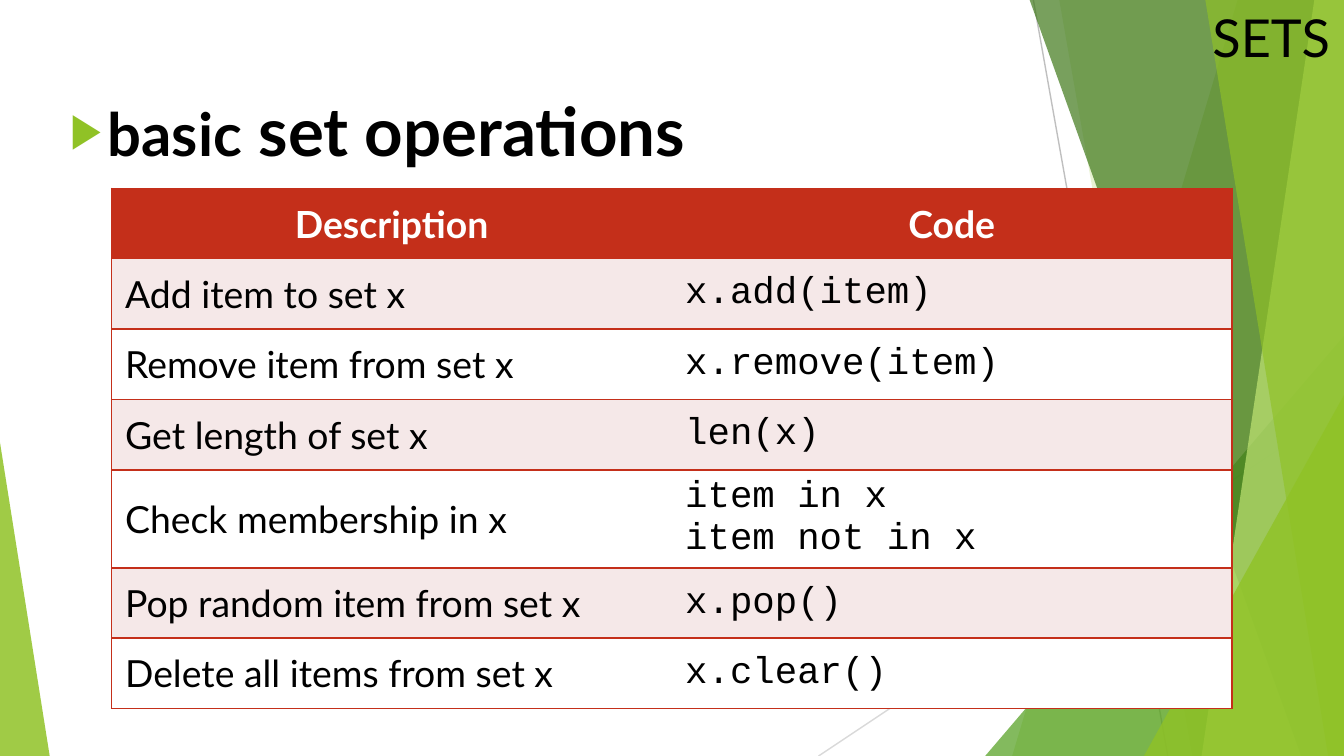
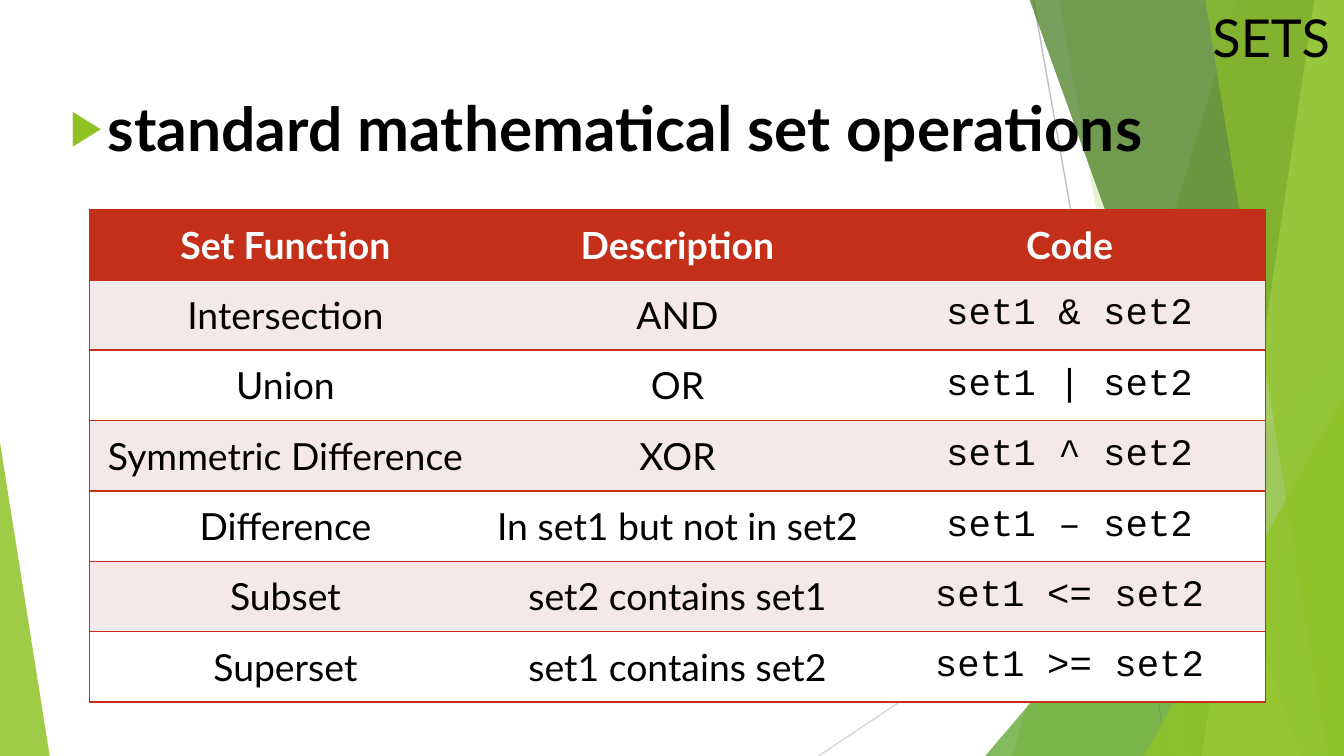
from pptx import Presentation
from pptx import util as u
from pptx.dml.color import RGBColor
from pptx.enum import shapes as sh, text as tx
from pptx.oxml.ns import qn
from lxml import etree

WIDE, HIGH = 25.4, 14.29

THEME = {
    "title": dict(name="Lato", size=28, color="000000", bold=False),
    "head": dict(name="Lato", size=20, color="FFFFFF", bold=True),
    "cell": dict(name="Lato", size=20, color="000000", bold=False),
    "code": dict(name="Courier New", size=20, color="000000", bold=False),
    "lead": dict(name="Lato", size=32, color="000000", bold=True),
    "red": "C42F1A", "rose": "F5E8E8", "white": "FFFFFF",
    "green": "90C226", "leaf": "54A021", "dark": "3F7819", "lime": "C0E474",
    "gray": "BFBFBF", "pale": "D9D9D9",
}

RAYS = [
    ("gray", 19.53, 0, 22.07, HIGH),
    ("pale", WIDE, 7.67, 15.47, HIGH),
]
DECOR = [
    ("band", "green", 30, (23.39, 19.13)),
    ("band", "green", 20, (20.02, 22.53)),
    ("peak", "leaf", 72, (18.62, 6.35, 6.78, 1)),
    ("band", "dark", 70, (19.46, 24.59)),
    ("band", "lime", 70, (24.84, 22.71)),
    ("band", "green", 65, (22.78, 25.1)),
    ("peak", "green", 80, (21.62, 7.47, 3.78, 1)),
    ("peak", "green", 85, (0, 8.36, 0.94, 0)),
]

TITLE = "SETS"
SLIDES = [
    {
        "lead": [("basic", 32), (" set operations", 36)],
        "left": 2.11, "top": 3.56, "wide": 21.17, "mid": False,
        "rows": [
            ("Description", "Code"),
            ("Add item to set x", "x.add(item)"),
            ("Remove item from set x", "x.remove(item)"),
            ("Get length of set x", "len(x)"),
            ("Check membership in x", "item in x\nitem not in x"),
            ("Pop random item from set x", "x.pop()"),
            ("Delete all items from set x", "x.clear()"),
        ],
    },
    {
        "lead": [("standard", 32.4), (" mathematical set operations", 33.3)],
        "left": 1.69, "top": 3.96, "wide": 22.23, "mid": True,
        "rows": [
            ("Set Function", "Description", "Code"),
            ("Intersection", "AND", "set1 & set2"),
            ("Union", "OR", "set1 | set2"),
            ("Symmetric Difference", "XOR", "set1 ^ set2"),
            ("Difference", "In set1 but not in set2", "set1 – set2"),
            ("Subset", "set2 contains set1", "set1 <= set2"),
            ("Superset", "set1 contains set2", "set1 >= set2"),
        ],
    },
]


def tint(key):
    return RGBColor.from_string(THEME[key])


def style(font, look):
    for key, val in look.items():
        if key == "color":
            font.color.rgb = RGBColor.from_string(val)
        else:
            setattr(font, key, u.Pt(val) if key == "size" else val)


def place(shape, *box):
    for key, val in zip(("left", "top", "width", "height"), box):
        setattr(shape, key, u.Cm(val))


def node(host, tag, **attrs):
    return etree.SubElement(host, qn(tag), attrs)


def paint(shape, key, alpha):
    shape.shadow.inherit = False
    shape.line.fill.background()
    shape.fill.solid()
    shape.fill.fore_color.rgb = tint(key)
    color = next(shape.element.spPr.iter(qn("a:srgbClr")))
    node(color, "a:alpha", val=str(alpha * 1000))


def band(pool, top, foot):
    pts = [(top, 0), (WIDE, 0), (WIDE, HIGH), (foot, HIGH)]
    pts = [(u.Cm(x), u.Cm(y)) for x, y in pts]
    form = pool.build_freeform(*pts[0])
    form.add_line_segments(pts[1:], close=True)
    return form.convert_to_shape()


def peak(pool, left, top, wide, tip):
    box = map(u.Cm, (left, top, wide, HIGH - top))
    shape = pool.add_shape(sh.MSO_SHAPE.ISOSCELES_TRIANGLE, *box)
    shape.adjustments[0] = tip
    return shape


def adorn(slide, layout):
    pool, made = slide.shapes, []
    for key, *ends in RAYS:
        ray = pool.add_connector(sh.MSO_CONNECTOR.STRAIGHT, *map(u.Cm, ends))
        ray.line.color.rgb = tint(key)
        ray.line.width = u.Pt(0.75)
        node(ray.element.spPr, "a:effectLst")
        made.append(ray)
    for kind, key, alpha, args in DECOR:
        shape = {"band": band, "peak": peak}[kind](pool, *args)
        paint(shape, key, alpha)
        made.append(shape)
    for num, shape in enumerate(made, 20):
        shape.element.xpath(".//p:cNvPr")[0].set("id", str(num))
        layout.shapes.element.append(shape.element)


def name(slide):
    shape = slide.shapes.title
    place(shape, 22.66, -0.05, 2.74, 1.47)
    frame = shape.text_frame
    frame.text = TITLE
    frame.margin_right = 0
    frame.auto_size = tx.MSO_AUTO_SIZE.NONE
    frame.vertical_anchor = tx.MSO_ANCHOR.MIDDLE
    para = frame.paragraphs[0]
    para.alignment = tx.PP_ALIGN.LEFT
    style(para.runs[0].font, THEME["title"])


def lead(slide, parts):
    shape = slide.placeholders[1]
    place(shape, 1.07, 1.57, 22.86, 2.16)
    frame = shape.text_frame
    frame.auto_size = tx.MSO_AUTO_SIZE.NONE
    frame.vertical_anchor = tx.MSO_ANCHOR.TOP
    para = frame.paragraphs[0]
    props = para._p.get_or_add_pPr()
    props.set("marL", str(u.Cm(0.71)))
    props.set("indent", str(u.Cm(-0.71)))
    node(node(props, "a:buClr"), "a:srgbClr", val=THEME["green"])
    node(props, "a:buSzPct", val="80000")
    node(props, "a:buChar", char="▶")
    para.space_before = u.Pt(0)
    for words, size in parts:
        run = para.add_run()
        run.text = words
        style(run.font, {**THEME["lead"], "size": size})


def edge(cell, sides):
    props = cell._tc.get_or_add_tcPr()
    for spot, side in enumerate(sides):
        line = etree.Element(qn("a:ln" + side), w=str(u.Pt(1)))
        node(node(line, "a:solidFill"), "a:srgbClr", val=THEME["red"])
        props.insert(spot, line)


def grid(slide, data):
    rows = data["rows"]
    cols = len(rows[0])
    box = map(u.Cm, (data["left"], data["top"], data["wide"], 1.33 * len(rows)))
    frame = slide.shapes.add_table(len(rows), cols, *box)
    plain = next(frame.element.iter(qn("a:tableStyleId")))
    plain.text = "{2D5ABB26-0587-4C30-8999-92F81FD0307C}"
    table = frame.table
    for r, row in enumerate(rows):
        tall = any("\n" in words for words in row)
        table.rows[r].height = u.Cm(1.85 if tall else 1.33)
        back = "red" if r == 0 else "rose" if r % 2 else "white"
        for c, words in enumerate(row):
            last = c == cols - 1
            look = "head" if r == 0 else "code" if last else "cell"
            cell = table.cell(r, c)
            cell.text = words
            cell.vertical_anchor = tx.MSO_ANCHOR.MIDDLE
            cell.fill.solid()
            cell.fill.fore_color.rgb = tint(back)
            edge(cell, ["L"] * (c == 0) + ["R"] * last + ["T", "B"])
            for para in cell.text_frame.paragraphs:
                mid = r == 0 or data["mid"]
                para.alignment = tx.PP_ALIGN.CENTER if mid else tx.PP_ALIGN.LEFT
                style(para.runs[0].font, THEME[look])


def main():
    deck = Presentation()
    deck.slide_width, deck.slide_height = u.Cm(WIDE), u.Cm(HIGH)
    layout = deck.slide_layouts[1]
    for num, data in enumerate(SLIDES):
        slide = deck.slides.add_slide(layout)
        if num == 0:
            adorn(slide, layout)
        name(slide)
        lead(slide, data["lead"])
        grid(slide, data)
    deck.save("out.pptx")


if __name__ == "__main__":
    main()
